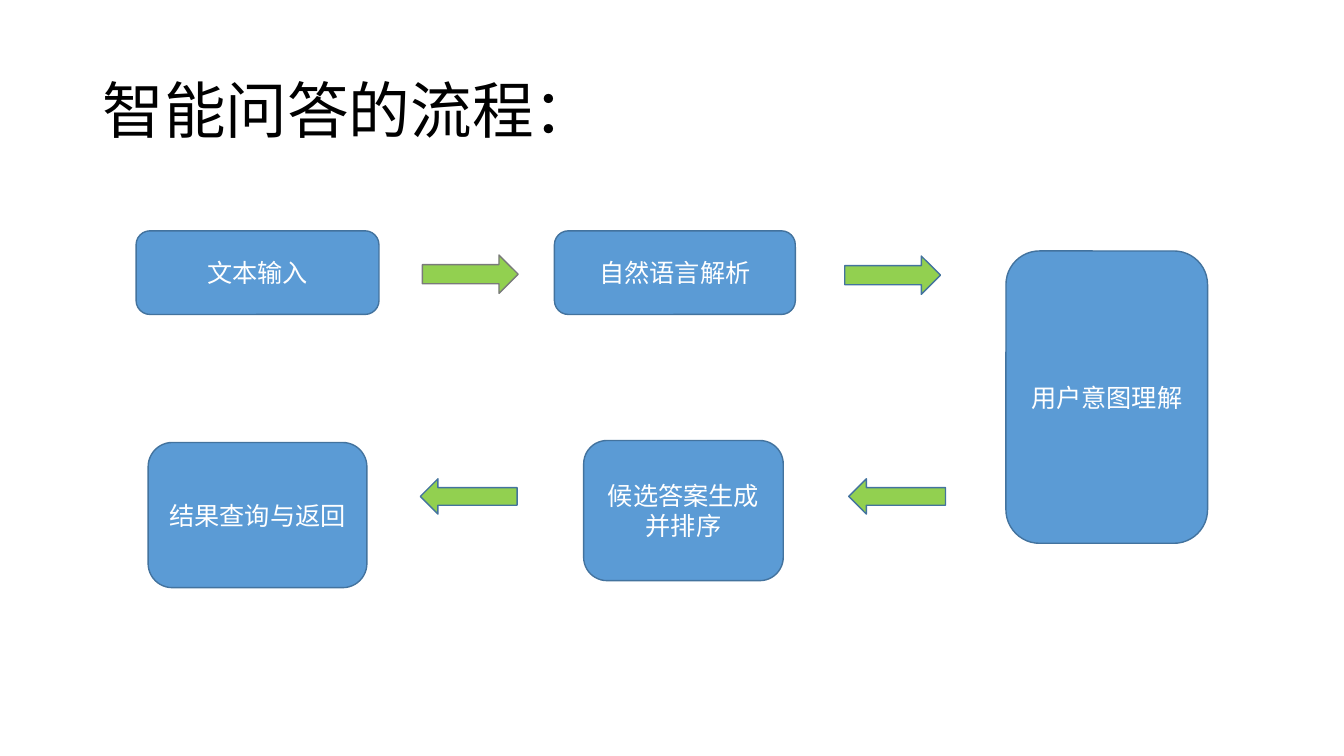
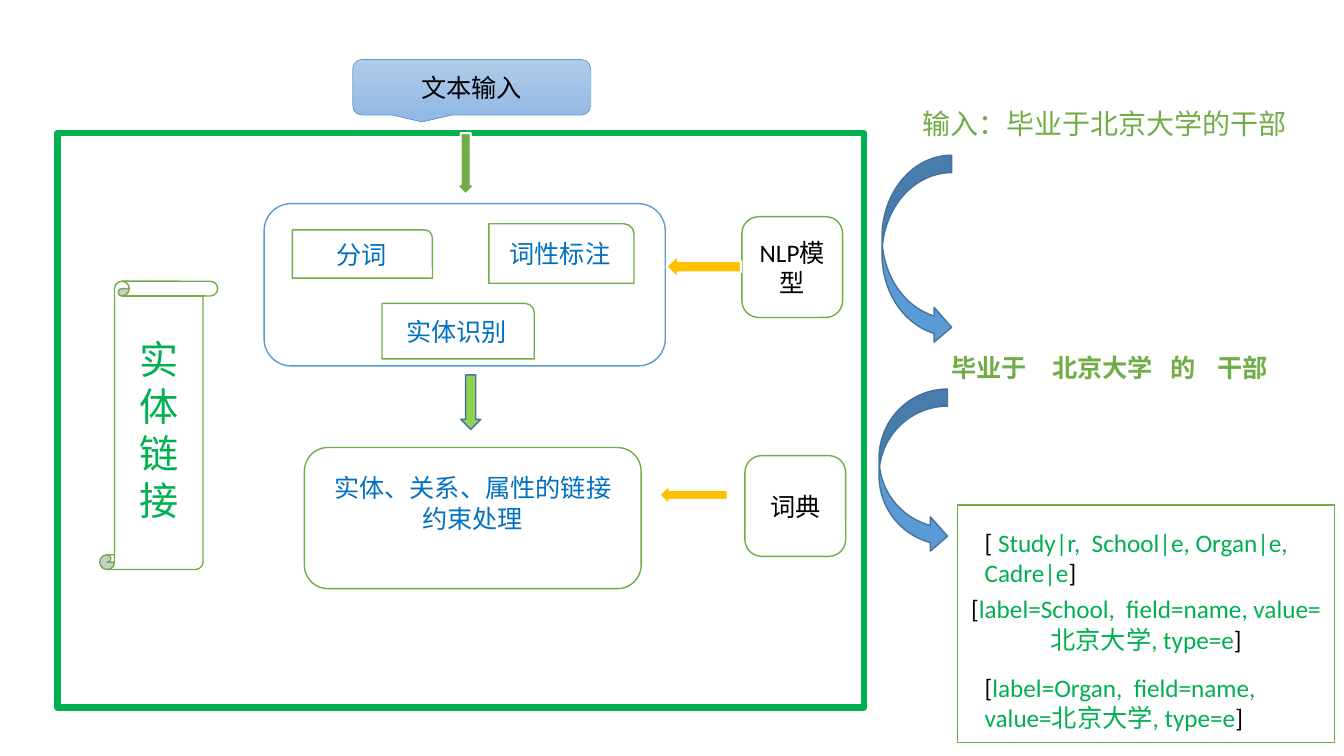
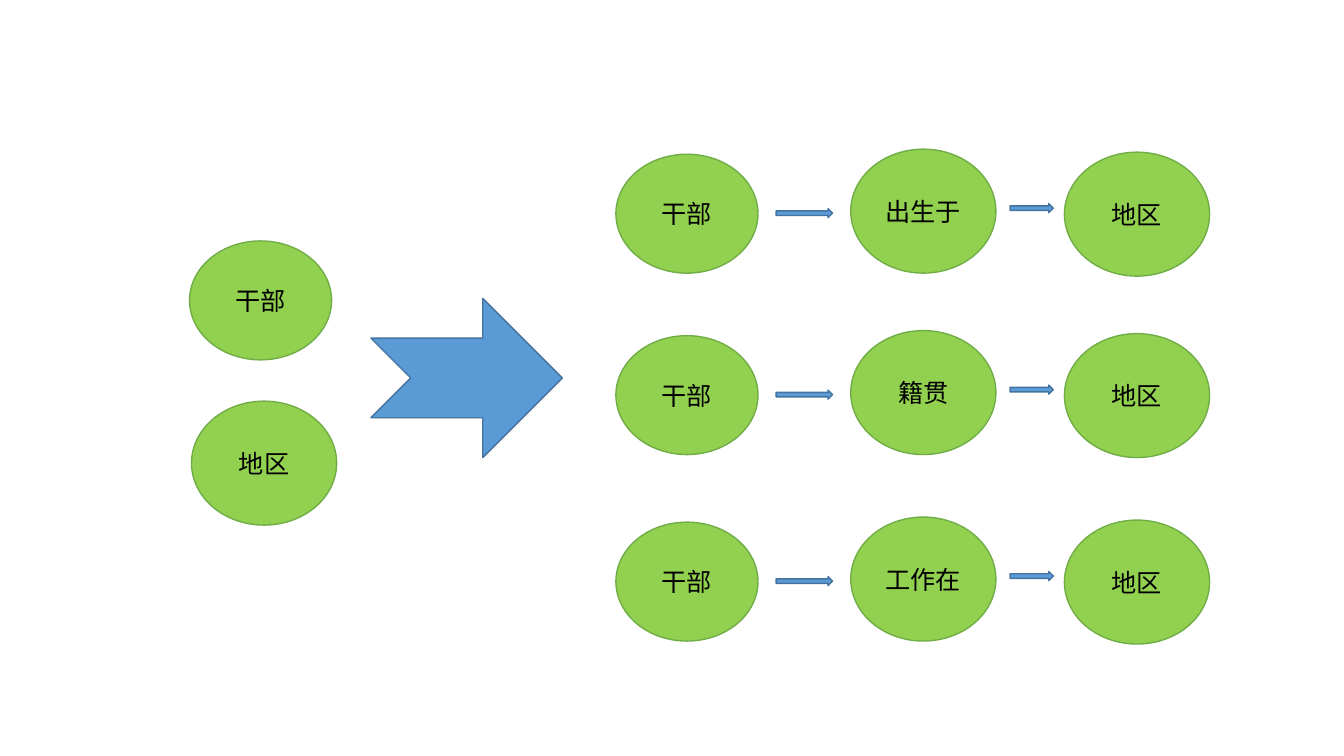
from pptx import Presentation, util as u
from pptx.dml.color import RGBColor
from pptx.enum import shapes, text
from pptx.oxml.ns import qn
from lxml import etree

CELL = u.Inches(0.1)
COLS, ROWS = 133.33, 75
FONT = "Calibri"
HUE = {
    "white": "FFFFFF", "black": "000000", "blue": "5B9BD5", "navy": "43739E",
    "ink": "0070C0", "lime": "92D050", "leaf": "70AD47", "green": "00B050",
    "gold": "FFC000", "gray": "7A7A7A", "pale": "B1CBE9", "sky": "93B9E4",
}
KIND = shapes.MSO_SHAPE
MID = text.PP_ALIGN.CENTER
LEFT = text.PP_ALIGN.LEFT
STEP = {"fill": "blue", "line": "navy", "hue": "white"}
CARD = {"fill": "white", "line": "leaf", "hue": "black"}
TASK = {**CARD, "hue": "ink"}
NODE = {**CARD, "fill": "lime"}
FLOW = {"fill": "lime", "line": "navy"}
LINK = {"fill": "blue", "line": "navy"}
FEED = {"fill": "gold", "line": "white", "width": 1.5}


def color(name):
    return RGBColor.from_string(HUE[name])


def grid(*cells):
    return [round(n * CELL) for n in cells]


def apply(item, **form):
    for key, val in form.items():
        setattr(item, key, val)


def write(frame, lines, hue="black", size=18, bold=False, align=LEFT,
          para=None, **form):
    apply(frame, **{"word_wrap": True, **form})
    for i, line in enumerate(lines):
        row = frame.add_paragraph() if i else frame.paragraphs[0]
        apply(row, alignment=align, **(para or {}))
        for words, tint in [(line, hue)] if isinstance(line, str) else line:
            run = row.add_run()
            run.text = words
            apply(run.font, name=FONT, size=u.Pt(size), bold=bold)
            run.font.color.rgb = color(tint)


def shape(slide, kind, at, lines=(), fill="white", line="leaf", width=1,
          **form):
    item = slide.shapes.add_shape(kind, *grid(*at))
    item.shadow.inherit = False
    item.fill.solid()
    item.fill.fore_color.rgb = color(fill)
    item.line.color.rgb = color(line)
    item.line.width = u.Pt(width)
    write(item.text_frame, lines, align=MID,
          vertical_anchor=text.MSO_ANCHOR.MIDDLE, **form)
    return item


def label(slide, at, lines, **form):
    item = slide.shapes.add_textbox(*grid(*at))
    write(item.text_frame, lines, **form)
    return item


def blend(item, top, base):
    item.fill.gradient()
    item.fill.gradient_angle = 270
    for stop, name in zip(item.fill.gradient_stops, (top, base)):
        stop.color.rgb = color(name)


def tabs(item, stops):
    props = item.text_frame.paragraphs[0]._p.get_or_add_pPr()
    group = etree.SubElement(props, qn("a:tabLst"))
    for pos in grid(*stops):
        etree.SubElement(group, qn("a:tab"), pos=str(pos), algn="l")


def record(body, lead="["):
    return [[(lead, "black"), (body, "green"), ("]", "black")]]


def process(slide):
    label(slide, (9.2, 4, 115, 14.5), ["智能问答的流程："], size=44,
          para={"line_spacing": 0.9},
          vertical_anchor=text.MSO_ANCHOR.MIDDLE)
    for at, words in (
        ((13.5, 22.9, 24.1, 8.3), "文本输入"),
        ((55, 22.9, 23.9, 8.3), "自然语言解析"),
        ((99.8, 24.9, 20, 29), "用户意图理解"),
        ((57.9, 43.7, 19.8, 13.9), "候选答案生成并排序"),
        ((14.7, 43.9, 21.7, 14.4), "结果查询与返回"),
    ):
        shape(slide, KIND.ROUNDED_RECTANGLE, at, [words], **STEP)
    for x, y, line in ((41.9, 25.3, "gray"), (83.8, 25.4, "navy")):
        shape(slide, KIND.RIGHT_ARROW, (x, y, 9.5, 3.8),
              **{**FLOW, "line": line})
    for x in (84.2, 41.7):
        shape(slide, KIND.LEFT_ARROW, (x, 47.5, 9.6, 3.5), **FLOW)


def engine(slide):
    shape(slide, KIND.RECTANGLE, (5.7, 13.2, 80, 57), line="green", width=4.5)
    source = shape(slide, KIND.ROUNDED_RECTANGULAR_CALLOUT,
                   (35, 5.9, 23.6, 5.5), ["文本输入"], line="blue", width=0.5)
    blend(source, "pale", "sky")
    shape(slide, KIND.DOWN_ARROW, (45.2, 13.2, 2, 6.1), fill="leaf",
          line="white", width=1.5)
    shape(slide, KIND.ROUNDED_RECTANGLE, (26.2, 20.2, 39.8, 16.1), line="blue")
    shape(slide, KIND.VERTICAL_SCROLL, (9.9, 27.9, 11.7, 28.6), ["实体链接"],
          hue="green", size=28)
    for at, words in (
        ((29, 22.8, 13.9, 4.8), "分词"),
        ((48.5, 22.2, 14.4, 5.9), "词性标注"),
        ((37.9, 30.1, 15.1, 5.5), "实体识别"),
    ):
        shape(slide, KIND.ROUND_1_RECTANGLE, at, [words], **TASK)
    shape(slide, KIND.ROUNDED_RECTANGLE, (30.2, 44.4, 33.4, 14),
          ["实体、关系、属性的链接", "约束处理"], **TASK,
          margin_bottom=u.Inches(0.35))
    for at, words in (((73.6, 21.5, 10, 10), "NLP模型"),
                      ((73.9, 45.2, 10, 10), "词典")):
        shape(slide, KIND.ROUNDED_RECTANGLE, at, [words], **CARD)
    for at in ((66.1, 25.3, 7.4, 2.3), (65.4, 48.1, 6.8, 2)):
        shape(slide, KIND.LEFT_ARROW, at, **FEED)
    shape(slide, KIND.DOWN_ARROW, (45.7, 37.2, 2, 5.4), **FLOW)


def sample(slide):
    label(slide, (90.5, 10.1, 38.5, 4.4), ["输入：毕业于北京大学的干部"],
          hue="leaf", size=20)
    split = label(slide, (93.4, 34.5, 34.1, 4.2),
                  ["毕业于\t北京大学\t的\t干部"], hue="leaf", bold=True)
    tabs(split, (10, 21.7, 26.4))
    for at in ((87.5, 15.4, 6.9, 18.8), (87.2, 38.6, 6.8, 16.3)):
        shape(slide, KIND.CURVED_RIGHT_ARROW, at, **LINK)
    shape(slide, KIND.RECTANGLE, (95, 50.1, 37.4, 23.6),
          record("label=School,  field=name, value=北京大学, type=e"), **CARD)
    label(slide, (96.7, 51.8, 32.7, 7),
          record("Study|r,  School|e, Organ|e,  Cadre|e", "[ "))
    label(slide, (96.7, 66.2, 32.5, 7),
          record("label=Organ,  field=name, value=北京大学, type=e"))


def cadre(slide, x, y):
    shape(slide, KIND.OVAL, (x, y, 14.1, 11.8), ["干部"], **NODE)


def node(slide, x, y, words):
    shape(slide, KIND.OVAL, (x, y, 14.4, 12.3), [words], **NODE)


def chain(slide, y, verb):
    cadre(slide, 61.1, y + 0.5)
    node(slide, 105.6, y + 0.3, "地区")
    node(slide, 84.4, y, verb)
    for x, drop, wide in ((77, 5.9, 5.6), (100.2, 5.4, 4.3)):
        shape(slide, KIND.RIGHT_ARROW, (x, y + drop, wide, 0.9), **LINK)


def paths(slide):
    cadre(slide, 18.8, 23.9)
    node(slide, 19, 39.8, "地区")
    shape(slide, KIND.NOTCHED_RIGHT_ARROW, (36.8, 29.6, 19, 15.8), **LINK)
    for y, verb in ((14.8, "出生于"), (32.8, "籍贯"), (51.3, "工作在")):
        chain(slide, y, verb)


def main():
    deck = Presentation()
    wide, high = grid(COLS, ROWS)
    apply(deck, slide_width=wide, slide_height=high)
    for parts in ((process,), (engine, sample), (paths,)):
        slide = deck.slides.add_slide(deck.slide_layouts[6])
        for part in parts:
            part(slide)
    deck.save("out.pptx")


main()
